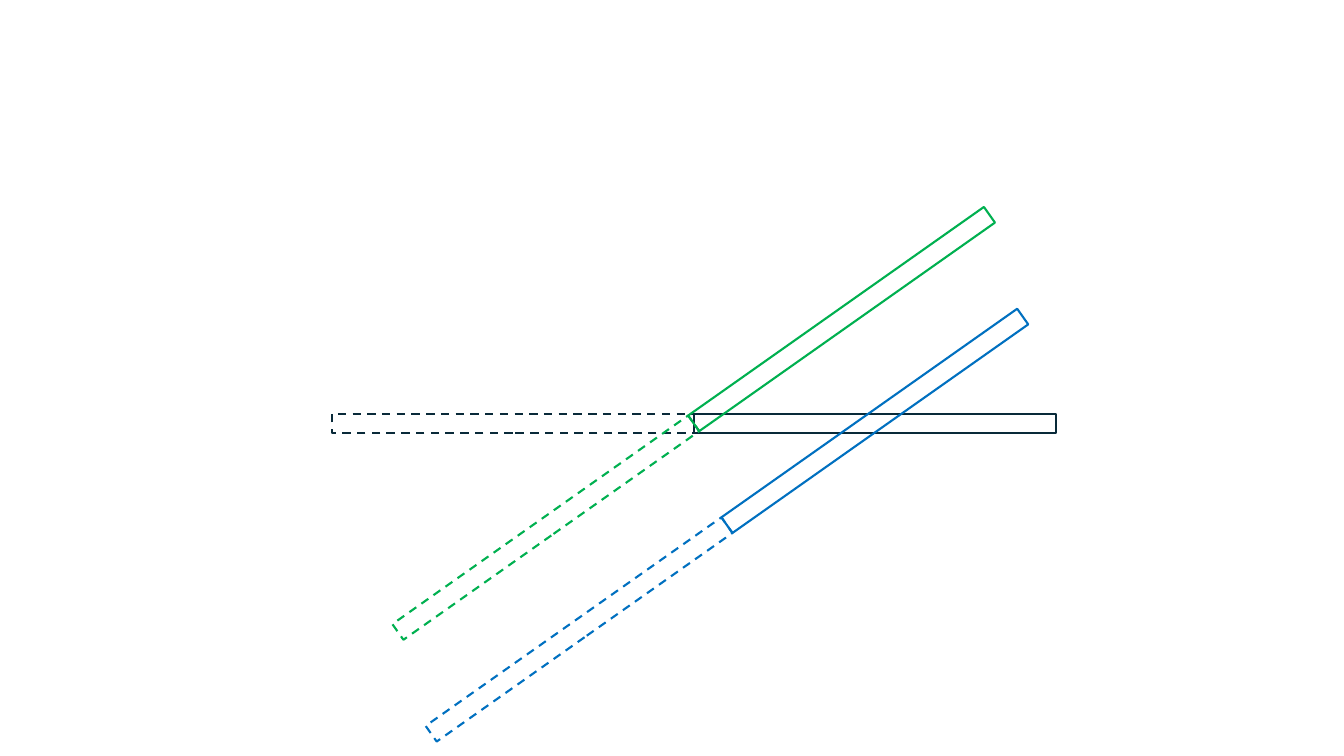
from math import cos, radians, sin

from pptx import Presentation
from pptx.dml.color import RGBColor
from pptx.enum.dml import MSO_LINE as Dash
from pptx.enum.shapes import MSO_SHAPE as Shape
from pptx.util import Inches, Pt

NAVY = RGBColor(0x09, 0x2A, 0x39)
BLUE = RGBColor(0x00, 0x70, 0xC0)
GREEN = RGBColor(0x00, 0xB0, 0x50)

LONG, THICK = 3.59, 0.19
TILT = 324.8
RODS = [
    (NAVY, 6.88, 4.2, 0),
    (BLUE, 7.21, 5.21, TILT),
    (GREEN, 6.88, 4.2, TILT),
]
HALVES = [(-1, Dash.DASH), (1, Dash.SOLID)]

deck = Presentation()
deck.slide_width, deck.slide_height = Inches(13.33), Inches(7.5)
slide = deck.slides.add_slide(deck.slide_layouts[6])

for color, joint_x, joint_y, turn in RODS:
    rod = slide.shapes.add_group_shape()
    for side, dash in HALVES:
        mid_x = joint_x + side * LONG / 2 * cos(radians(turn))
        mid_y = joint_y + side * LONG / 2 * sin(radians(turn))
        half = rod.shapes.add_shape(
            Shape.RECTANGLE,
            Inches(mid_x - LONG / 2), Inches(mid_y - THICK / 2),
            Inches(LONG), Inches(THICK))
        half.rotation = turn
        half.shadow.inherit = False
        half.fill.background()
        half.line.color.rgb = color
        half.line.width = Pt(1.5)
        half.line.dash_style = dash

deck.save("out.pptx")
